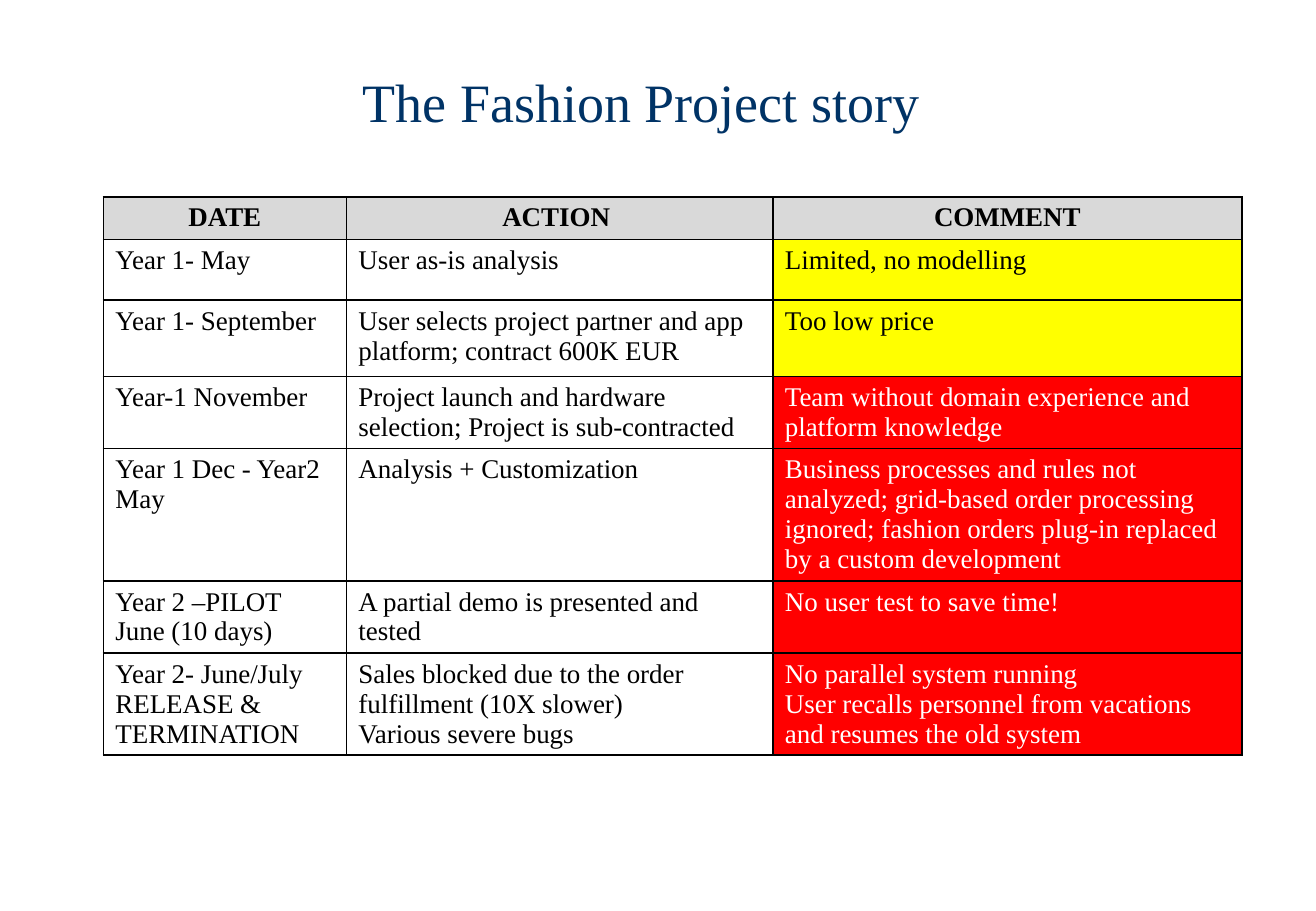
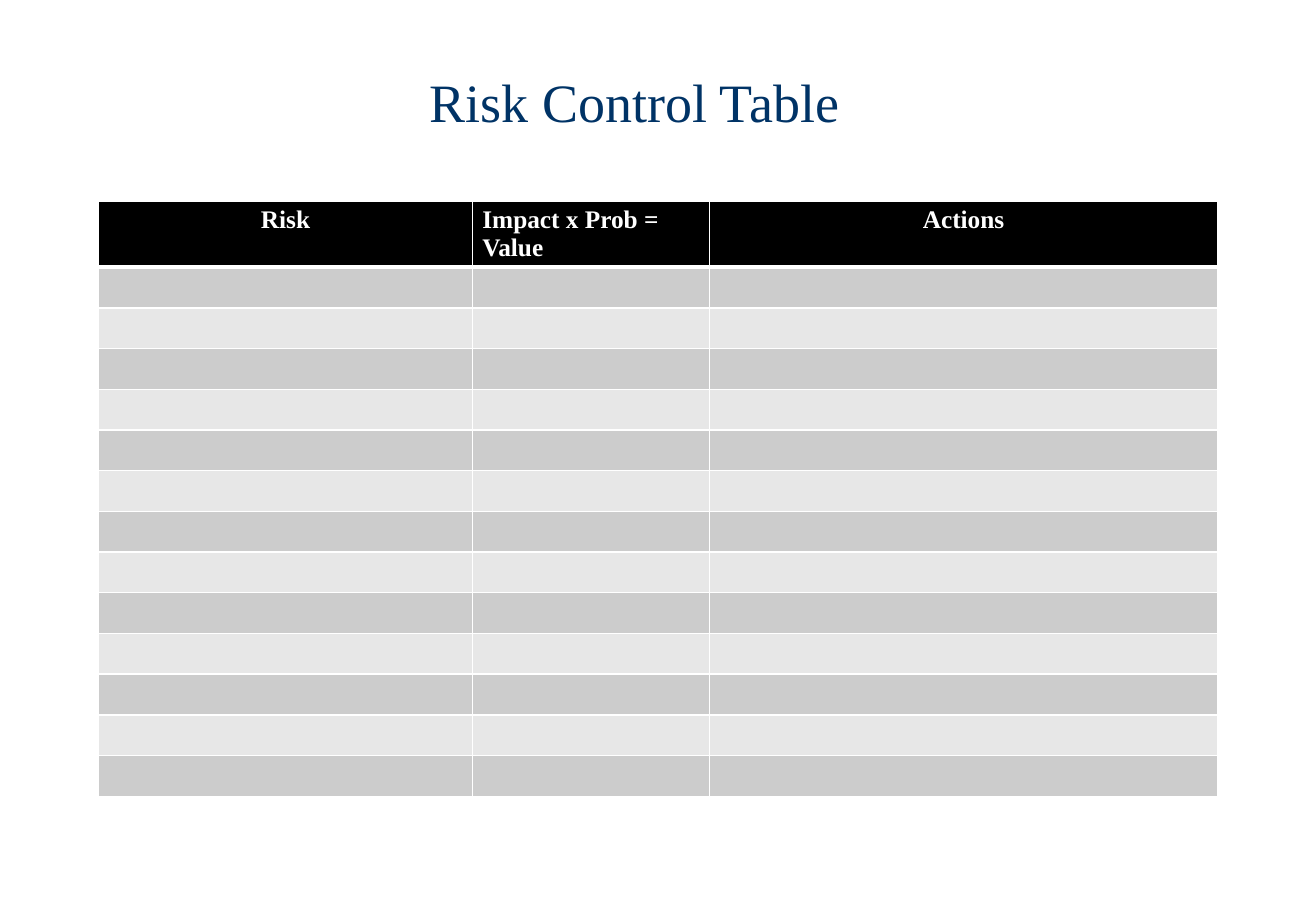
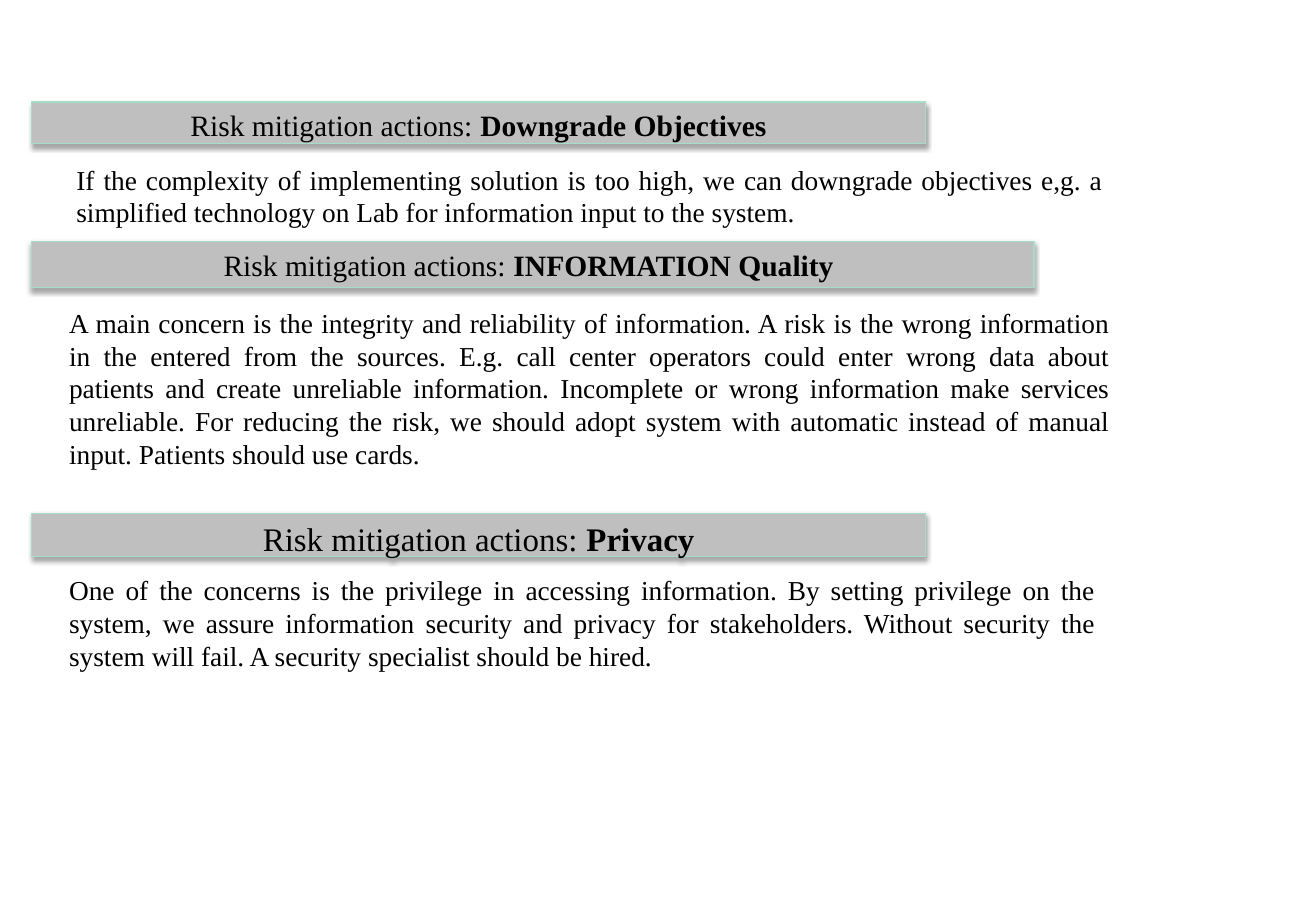
"""Build three slides on project risk: a story table, a risk control table and mitigation actions."""
import pptx
import pptx.util
import pptx.dml.color
import pptx.enum.shapes
import pptx.enum.text
import pptx.oxml
import pptx.oxml.ns

Inches, Pt = pptx.util.Inches, pptx.util.Pt
RGB = pptx.dml.color.RGBColor
ALIGN = pptx.enum.text.PP_ALIGN
ANCHOR = pptx.enum.text.MSO_ANCHOR

FONT = "Times New Roman"
BLACK, WHITE = RGB(0, 0, 0), RGB(255, 255, 255)
NAVY = RGB(0x00, 0x33, 0x66)
HEADER_GRAY = RGB(0xD9, 0xD9, 0xD9)
YELLOW, RED = RGB(0xFF, 0xFF, 0), RGB(0xFF, 0, 0)
BAND_DARK, BAND_LIGHT = RGB(0xCC, 0xCC, 0xCC), RGB(0xE7, 0xE7, 0xE7)
BAR_GRAY, BAR_LINE = RGB(0xBF, 0xBF, 0xBF), RGB(0xA5, 0xDE, 0xC6)

STORY_HEADER = ("DATE", "ACTION ", "COMMENT")
STORY_COLS = (2, 3.51, 3.86)
STORY_HEADER_HEIGHT = 0.35
STORY = [
    (0.5, YELLOW, "Year 1- May", "User as-is analysis", "Limited, no modelling"),
    (0.63, YELLOW, "Year 1- September",
     "User selects project partner and app platform; contract 600K EUR", "Too low price"),
    (0.59, RED, "Year-1 November",
     "Project launch and hardware selection; Project is sub-contracted",
     "Team without domain experience and platform knowledge"),
    (1.08, RED, "Year 1 Dec - Year2 May", "Analysis + Customization",
     "Business processes and rules not analyzed; grid-based order processing ignored; "
     "fashion orders plug-in replaced by a custom development"),
    (0.59, RED, "Year 2 –PILOT\nJune (10 days)",
     "A partial demo is presented and tested", "No user test to save time!"),
    (0.84, RED, "Year 2- June/July RELEASE & TERMINATION",
     "Sales blocked due to the order fulfillment (10X slower)\nVarious severe bugs",
     "No parallel system running\n"
     "User recalls personnel from vacations and resumes the old system"),
]

RISK_HEADER = (("Risk", ALIGN.CENTER), ("Impact x Prob = Value", ALIGN.LEFT),
               ("Actions", ALIGN.CENTER))
RISK_COLS = (3.08, 1.95, 4.18)
RISK_ROWS = 13
RISK_HEIGHT, RISK_HEADER_HEIGHT = 4.89, 0.53

BAR_LEFT = 0.26
ACTIONS = [
    {"topic": "Downgrade Objectives", "bar": (0.84, 7.36, 0.34), "size": 17.5, "indent": None,
     "box": (0.53, 1.29, 8.64, 0.65),
     "text": "If the complexity of implementing solution is too high, we can downgrade objectives "
             "e,g. a simplified technology on Lab for information input to the system."},
    {"topic": "INFORMATION Quality", "bar": (1.99, 8.25, 0.38), "size": 17.5, "indent": 1.5,
     "box": (0.47, 2.47, 8.76, 1.47),
     "text": "A main concern is the integrity and reliability of information. A risk is the wrong "
             "information in the entered from the sources. E.g. call center operators could enter "
             "wrong data about patients and create unreliable information. Incomplete or wrong "
             "information make services unreliable. For reducing the risk, we should adopt system "
             "with automatic instead of manual input. Patients should use cards."},
    {"topic": "Privacy", "bar": (4.23, 7.36, 0.35), "size": 19.5, "indent": None,
     "box": (0.47, 4.67, 8.64, 0.92),
     "text": "One of the concerns is the privilege in accessing information. By setting privilege "
             "on the system, we assure information security and privacy for stakeholders. Without "
             "security the system will fail. A security specialist should be hired."},
]


def xml(tag, body):
    """Parse an element of the drawing namespace."""
    return pptx.oxml.parse_xml(f"<a:{tag} {pptx.oxml.ns.nsdecls('a')} {body}")


def style(r, size, color, bold=False):
    """Format a run."""
    r.font.name, r.font.size, r.font.bold = FONT, Pt(size), bold
    r.font.color.rgb = color


def set_margins(target, x, y):
    """Set equal side margins and equal top and bottom margins."""
    target.margin_left = target.margin_right = Inches(x)
    target.margin_top = target.margin_bottom = Inches(y)


def add_titled_slide(prs, text):
    """Add a title-only slide with the shared title style."""
    s = prs.slides.add_slide(prs.slide_layouts[5])
    sp = s.shapes.title
    sp.left, sp.top, sp.width, sp.height = map(Inches, (0.81, 0.33, 8.94, 1))
    tf = sp.text_frame
    tf.text = text
    tf.vertical_anchor = ANCHOR.MIDDLE
    tf.paragraphs[0].alignment = ALIGN.CENTER
    style(tf.paragraphs[0].runs[0], 32, NAVY)
    return s


def add_grid(s, left, top, cols, rows):
    """Add a plain table with the given column widths and row heights."""
    table = s.shapes.add_table(len(rows), len(cols), Inches(left), Inches(top),
                               Inches(sum(cols)), Inches(sum(rows))).table
    for col, width in zip(table.columns, cols):
        col.width = Inches(width)
    for row, height in zip(table.rows, rows):
        row.height = Inches(height)
    return table


def fill_cell(cell, text, fill, size, color, line, bold=False, align=ALIGN.LEFT,
              top_width=1, bottom_width=1):
    """Write and format a cell with its fill and borders."""
    cell.text = text
    cell.fill.solid()
    cell.fill.fore_color.rgb = fill
    for p in cell.text_frame.paragraphs:
        p.alignment = align
        for r in p.runs:
            style(r, size, color, bold)
        if not p.runs:
            p._p.get_or_add_endParaRPr().set("sz", str(size * 100))
    widths = {"L": 1, "R": 1, "T": top_width, "B": bottom_width}
    for i, (side, width) in enumerate(widths.items()):
        cell._tc.get_or_add_tcPr().insert(i, xml(
            f"ln{side}", f'w="{Pt(width)}"><a:solidFill><a:srgbClr val="{line}"/>'
                         f"</a:solidFill></a:ln{side}>"))


def build_story(prs):
    """Build the project story table."""
    s = add_titled_slide(prs, "The Fashion Project story")
    heights = [STORY_HEADER_HEIGHT] + [row[0] for row in STORY]
    table = add_grid(s, 0.85, 1.62, STORY_COLS, heights)
    for c, text in enumerate(STORY_HEADER):
        fill_cell(table.cell(0, c), text, HEADER_GRAY, 16, BLACK, BLACK, True, ALIGN.CENTER)
    for i, (_, signal, *texts) in enumerate(STORY, 1):
        for c, text in enumerate(texts):
            fill = signal if c == 2 else WHITE
            fill_cell(table.cell(i, c), text, fill, 16, WHITE if fill == RED else BLACK, BLACK)


def build_risk_control(prs):
    """Build the empty risk control table."""
    s = add_titled_slide(prs, "Risk Control Table ")
    row_height = (RISK_HEIGHT - RISK_HEADER_HEIGHT) / RISK_ROWS
    table = add_grid(s, 0.81, 1.66, RISK_COLS, [RISK_HEADER_HEIGHT] + [row_height] * RISK_ROWS)
    for c, (text, align) in enumerate(RISK_HEADER):
        fill_cell(table.cell(0, c), text, BLACK, 15, WHITE, WHITE, True, align, bottom_width=3)
        for i in range(1, RISK_ROWS + 1):
            fill_cell(table.cell(i, c), "", BAND_DARK if i % 2 else BAND_LIGHT, 15, BLACK, WHITE,
                      top_width=3 if i == 1 else 1)
    for cell in table.iter_cells():
        set_margins(cell, 0.08, 0.04)


def add_heading_bar(s, topic, bar, size, indent):
    """Add a shadowed gray bar naming a mitigation action."""
    top, width, height = map(Inches, bar)
    sp = s.shapes.add_shape(pptx.enum.shapes.MSO_SHAPE.RECTANGLE, Inches(BAR_LEFT), top,
                            width, height)
    sp.fill.solid()
    sp.fill.fore_color.rgb = BAR_GRAY
    sp.line.color.rgb, sp.line.width = BAR_LINE, Pt(0.75)
    sp.shadow.inherit = False
    sp._element.spPr.find(pptx.oxml.ns.qn("a:effectLst")).append(xml(
        "outerShdw", f'blurRad="{Pt(3.1)}" dist="{Pt(1.8)}" dir="5400000" rotWithShape="0">'
                     f'<a:srgbClr val="{BLACK}"><a:alpha val="35000"/></a:srgbClr></a:outerShdw>'))
    tf = sp.text_frame
    tf.word_wrap, tf.vertical_anchor = True, ANCHOR.TOP
    set_margins(tf, 0.08, 0.04)
    p = tf.paragraphs[0]
    p.alignment = ALIGN.CENTER
    if indent:
        p.alignment = ALIGN.LEFT
        p._p.get_or_add_pPr().set("marL", str(Inches(indent)))
    for text, bold in (("Risk mitigation actions: ", False), (topic, True)):
        r = p.add_run()
        r.text = text
        style(r, size, BLACK, bold)


def build_mitigation(prs):
    """Build the headed paragraphs on mitigation actions."""
    s = prs.slides.add_slide(prs.slide_layouts[6])
    for action in ACTIONS:
        add_heading_bar(s, action["topic"], action["bar"], action["size"], action["indent"])
        tf = s.shapes.add_textbox(*map(Inches, action["box"])).text_frame
        tf.word_wrap = True
        tf.text = action["text"]
        p = tf.paragraphs[0]
        p.alignment = ALIGN.JUSTIFY
        style(p.runs[0], 16.2, BLACK)


def main():
    """Build and save the presentation."""
    prs = pptx.Presentation()
    prs.slide_width, prs.slide_height = Inches(10.83), Inches(7.5)
    build_story(prs)
    build_risk_control(prs)
    build_mitigation(prs)
    prs.save("out.pptx")


if __name__ == "__main__":
    main()
